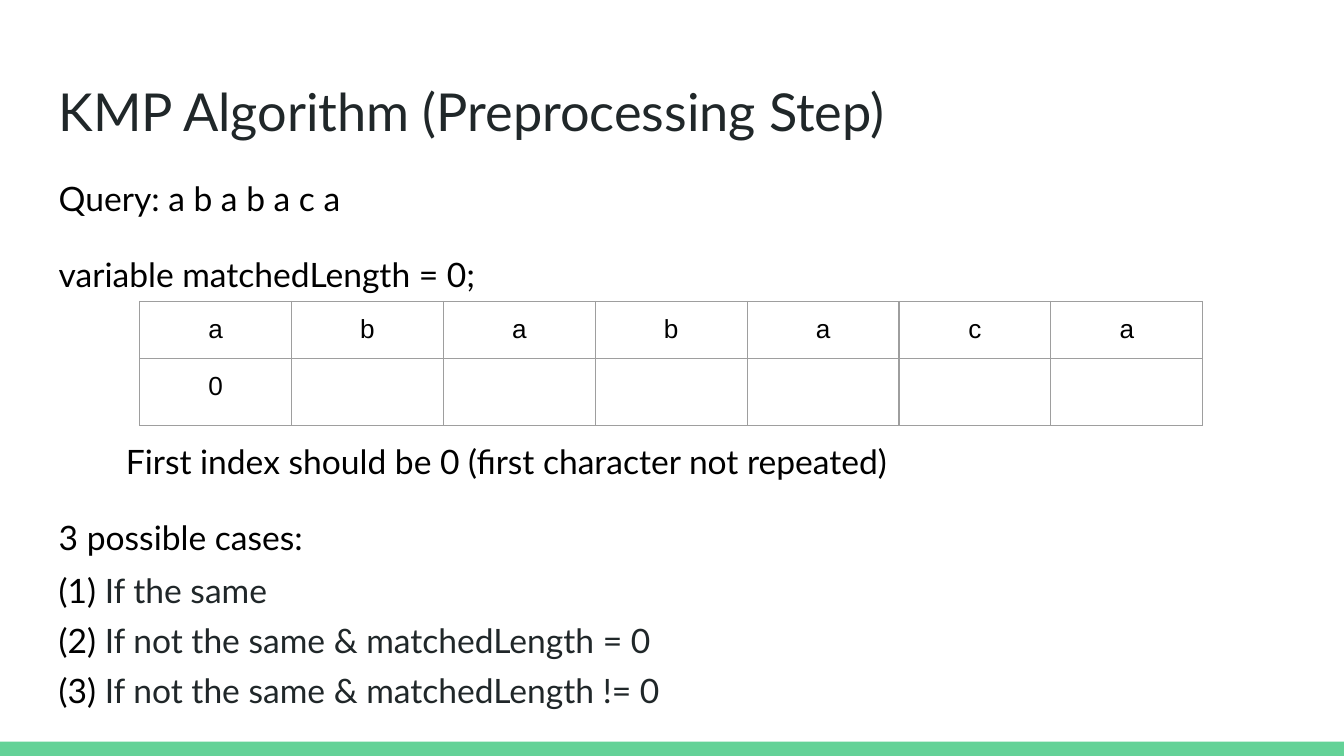
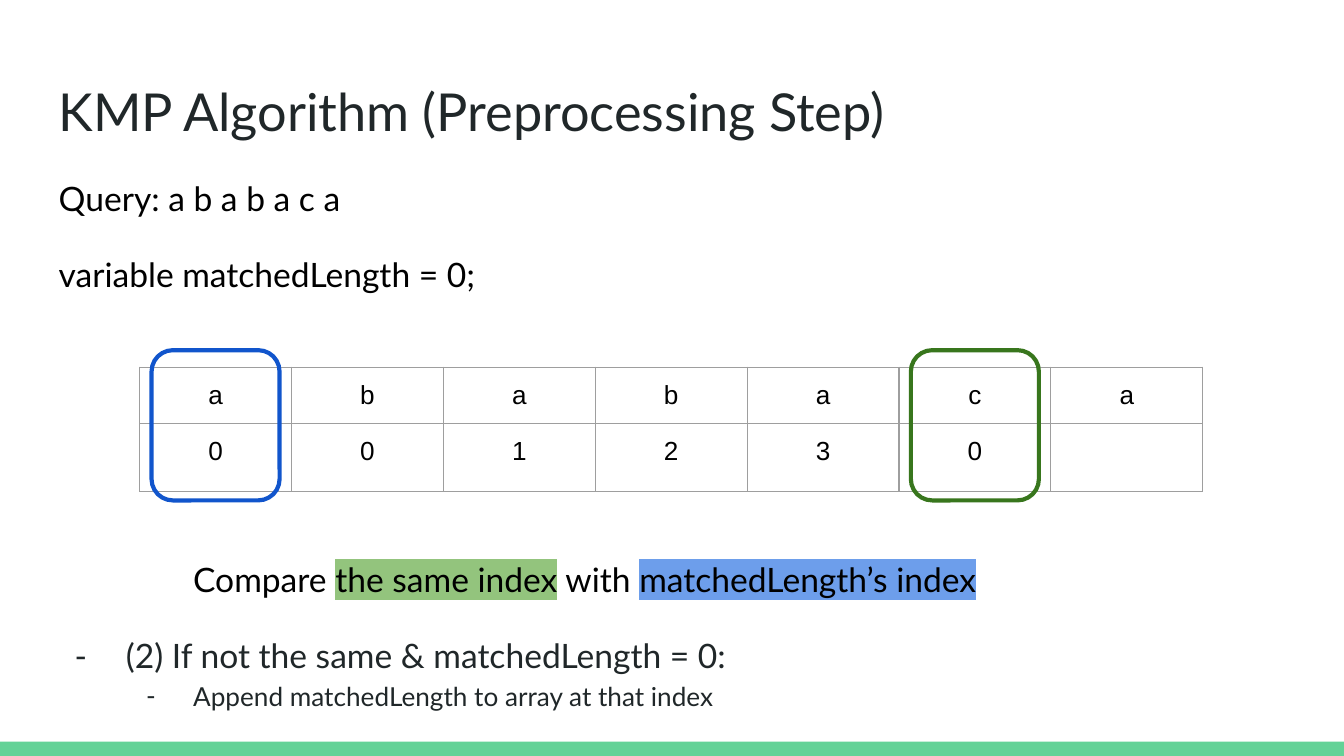
"""Build two slides on the preprocessing step of the KMP algorithm."""
import lxml.etree
import pptx
import pptx.dml.color
import pptx.enum.shapes
import pptx.enum.text
import pptx.oxml
import pptx.oxml.ns
import pptx.util

Cm, Pt = pptx.util.Cm, pptx.util.Pt
qn = pptx.oxml.ns.qn
MSO_SHAPE = pptx.enum.shapes.MSO_SHAPE
MSO_ANCHOR = pptx.enum.text.MSO_ANCHOR
PP_ALIGN = pptx.enum.text.PP_ALIGN

BLACK, INK, MINT, GREY = "000000", "202729", "63D297", "9E9E9E"
GREEN, BLUE, PALE_GREEN, PALE_BLUE = "38761D", "1155CC", "93C47D", "6D9EEB"
TABLE_LEFT, COL_W, ROW_H = 2.64, 2.87, (1.07, 1.22)
MARK_W, MARK_H, MARK_RISE = 2.42, 2.84, 0.32


def rgb(value):
    """Return a colour from a hex string."""
    return pptx.dml.color.RGBColor.from_string(value)


def add_text(p, text, size=18, font="Lato", color=BLACK, highlight=None):
    """Add a formatted run to a paragraph."""
    r = p.add_run()
    r.text = text
    r.font.size, r.font.name = Pt(size), font
    r.font.color.rgb = rgb(color)
    if highlight:
        mark = lxml.etree.Element(qn("a:highlight"))
        lxml.etree.SubElement(mark, qn("a:srgbClr"), val=highlight)
        r.font.fill._xPr.find(qn("a:solidFill")).addnext(mark)


intro = [
    (dict(before=0), [("Query: a b a b a c a", {})]),
    ({}, [("variable matchedLength = 0;", {})]),
]
cases = [
    ("(1) ", "If the same"),
    ("(2) ", "If not the same & matchedLength = 0"),
    ("(3) ", "If not the same & matchedLength != 0"),
]
slides = [
    dict(
        body=intro + [
            (dict(before=75.2, indent=1.27),
             [("First index should be 0 (first character not repeated)", {})]),
            ({}, [("3 possible cases:", {})]),
        ] + [(dict(spacing=0.5), [(number, {}), (case, dict(color=INK))])
             for number, case in cases],
        table_top=5.7, values="0", marks=[],
    ),
    dict(
        body=intro + [
            (dict(before=138.5, margin=2.54), [
                ("Compare ", {}),
                ("the same index", dict(highlight=PALE_GREEN)),
                (" with ", {}),
                ("matchedLength’s index", dict(highlight=PALE_BLUE)),
            ]),
            (dict(margin=1.27, indent=-0.97, bullet="-"),
             [("(2) If not the same & matchedLength = 0:", dict(color=INK))]),
            (dict(before=0, margin=2.54, indent=-0.89, bullet="-", level=1),
             [("Append matchedLength to array at that index", dict(size=14, color=INK))]),
        ],
        table_top=6.94, values="001230", marks=[(5, GREEN), (0, BLUE)],
    ),
]

prs = pptx.Presentation()
prs.slide_width, prs.slide_height = Cm(25.4), Cm(14.29)

for content in slides:
    s = prs.slides.add_slide(prs.slide_layouts[1])
    title, body = s.placeholders
    for sp, top, height in ((title, 1.24, 1.6), (body, 3, 9.5)):
        sp.left, sp.top, sp.width, sp.height = Cm(0.86), Cm(top), Cm(23.67), Cm(height)
        tf = sp.text_frame
        tf.word_wrap = True
        tf.auto_size = pptx.enum.text.MSO_AUTO_SIZE.NONE
        tf.vertical_anchor = MSO_ANCHOR.TOP
        tf.margin_left = tf.margin_right = tf.margin_top = tf.margin_bottom = Cm(0.25)

    p = title.text_frame.paragraphs[0]
    p.alignment = PP_ALIGN.LEFT
    add_text(p, "KMP Algorithm (Preprocessing Step)", size=28, color=INK)

    tf = body.text_frame
    for i, (fmt, runs) in enumerate(content["body"]):
        p = tf.add_paragraph() if i else tf.paragraphs[0]
        p.level = fmt.get("level", 0)
        pPr = p._p.get_or_add_pPr()
        pPr.set("marL", str(Cm(fmt.get("margin", 0))))
        pPr.set("indent", str(Cm(fmt.get("indent", 0))))
        if "bullet" in fmt:
            clr = lxml.etree.SubElement(pPr, qn("a:buClr"))
            lxml.etree.SubElement(clr, qn("a:srgbClr"), val=INK)
            lxml.etree.SubElement(pPr, qn("a:buFont"), typeface="Lato")
            lxml.etree.SubElement(pPr, qn("a:buChar"), char=fmt["bullet"])
        else:
            lxml.etree.SubElement(pPr, qn("a:buNone"))
        p.line_spacing = fmt.get("spacing", 1.15)
        p.space_before, p.space_after = Pt(fmt.get("before", 16)), Pt(0)
        for text, style in runs:
            add_text(p, text, **style)

    band = s.shapes.add_shape(MSO_SHAPE.RECTANGLE, 0, Cm(14.02), prs.slide_width, Cm(0.27))
    band.shadow.inherit = False
    band.fill.solid()
    band.fill.fore_color.rgb = rgb(MINT)
    band.line.fill.background()

    rows = ("ababaca", content["values"].ljust(7))
    top = content["table_top"]
    table = s.shapes.add_table(2, 7, Cm(TABLE_LEFT), Cm(top), Cm(7 * COL_W), Cm(sum(ROW_H))).table
    table.first_row = table.horz_banding = False
    for col in table.columns:
        col.width = Cm(COL_W)
    for i, letters in enumerate(rows):
        table.rows[i].height = Cm(ROW_H[i])
        for j, letter in enumerate(letters):
            cell = table.cell(i, j)
            cell.margin_left = cell.margin_right = Cm(0.25)
            cell.margin_top = cell.margin_bottom = Cm(0.25)
            for side in ("a:lnL", "a:lnR", "a:lnT", "a:lnB"):
                ln = lxml.etree.SubElement(cell._tc.get_or_add_tcPr(), qn(side), w=str(Pt(0.75)))
                fill = lxml.etree.SubElement(ln, qn("a:solidFill"))
                lxml.etree.SubElement(fill, qn("a:srgbClr"), val=GREY)
            cell.fill.background()
            if letter.strip():
                p = cell.text_frame.paragraphs[0]
                p.alignment = PP_ALIGN.CENTER
                add_text(p, letter, size=14, font="Arial")

    for column, color in content["marks"]:
        left = TABLE_LEFT + column * COL_W + (COL_W - MARK_W) / 2
        sp = s.shapes.add_shape(MSO_SHAPE.ROUNDED_RECTANGLE, Cm(left), Cm(top - MARK_RISE),
                                Cm(MARK_W), Cm(MARK_H))
        sp.shadow.inherit = False
        sp.fill.background()
        sp.line.color.rgb = rgb(color)
        sp.line.width = Pt(2.25)

prs.save("out.pptx")
